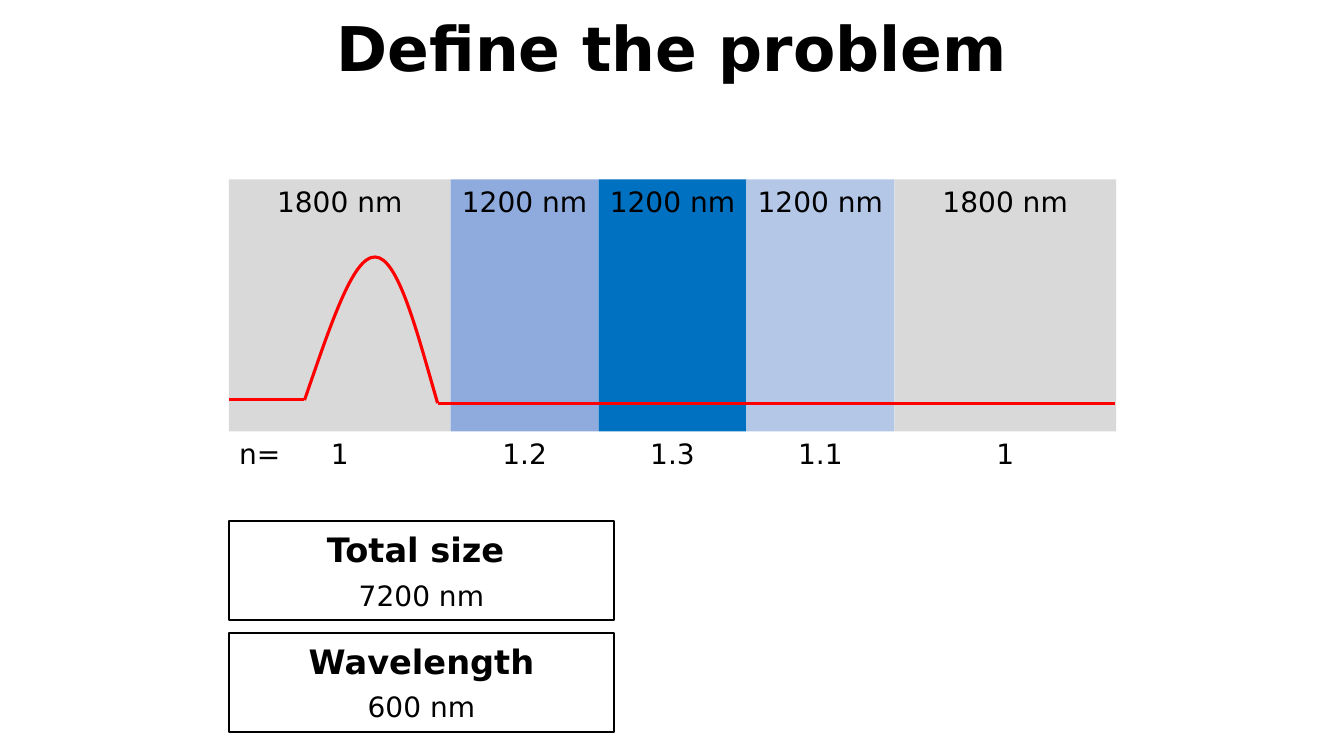
from pptx import Presentation
from pptx import util as u
from pptx.dml.color import RGBColor
from pptx.enum import shapes, text
from pptx.oxml.ns import qn
from lxml import etree

# Content
TITLE = "Define the problem"
LAYERS = [  # thickness in nm, refractive index, colour
    (1800, "1", "air"),
    (1200, "1.2", "medium"),
    (1200, "1.3", "dense"),
    (1200, "1.1", "light"),
    (1800, "1", "air"),
]
INDEX_NAME = "n="
FACTS = [("Total size ", "7200 nm"), ("Wavelength", "600 nm")]

# Style
COLORS = {"ink": "000000", "air": "D9D9D9", "medium": "8FAADC",
          "dense": "0070C0", "light": "B4C7E7", "wave": "FF0000"}
FONT = "DejaVu Sans"

# Layout in px, 100 px to the inch
PX = u.Inches(1) // 100
SLIDE_W, SLIDE_H = 1333, 750
STACK_X, STACK_Y, STACK_W, STACK_H = 227, 178, 880, 250
LABEL_H, INDEX_H = 35, 44
FACT_Y, FACT_W, FACT_H, FACT_STEP = 517, 382, 98, 111
PULSE = [(302, 397), (328, 322), (350, 254), (372, 255),
         (395, 255), (414, 331), (434, 400)]  # Bezier nodes and handles
BASELINES = [((STACK_X, 396), (302, 396)),
             ((434, 400), (STACK_X + STACK_W - 1, 400))]


def px(*lengths):
    return [round(length * PX) for length in lengths]


def color(name):
    return RGBColor.from_string(COLORS[name])


def add_run(paragraph, words, size, bold=False):
    paragraph.alignment = text.PP_ALIGN.CENTER
    run = paragraph.add_run()
    run.text = words
    run.font.name, run.font.size, run.font.bold = FONT, u.Pt(size), bold
    run.font.color.rgb = color("ink")


def add_label(words, x, y, w, h, size=20, bold=False):
    frame = slide.shapes.add_textbox(*px(x, y, w, h)).text_frame
    frame.word_wrap = True
    frame.margin_left = frame.margin_right = 0
    add_run(frame.paragraphs[0], words, size, bold)
    return frame.paragraphs[0]


def add_box(x, y, w, h):
    box = slide.shapes.add_shape(shapes.MSO_SHAPE.RECTANGLE, *px(x, y, w, h))
    box.shadow.inherit = False
    return box


def draw_wave(line):
    line.color.rgb = color("wave")
    line.width = u.Pt(2.25)


prs = Presentation()
prs.slide_width, prs.slide_height = px(SLIDE_W, SLIDE_H)
slide = prs.slides.add_slide(prs.slide_layouts[6])

# Title
heading = add_label(TITLE, 0, 0, SLIDE_W, 82, 44, True)
heading.line_spacing = 1.07
heading.space_after = u.Pt(8)

# Facts
for i, (fact, value) in enumerate(FACTS):
    box = add_box(STACK_X, FACT_Y + i * FACT_STEP, FACT_W, FACT_H)
    box.fill.background()
    box.line.color.rgb = color("ink")
    box.line.width = u.Pt(1.5)
    frame = box.text_frame
    add_run(frame.paragraphs[0], fact, 24, True)
    add_run(frame.add_paragraph(), value, 20)
    for paragraph in frame.paragraphs:
        paragraph.space_after = u.Pt(6)

# Layers, as wide as they are thick
scale = STACK_W / sum(thickness for thickness, _, _ in LAYERS)
x = STACK_X
for thickness, index, shade in LAYERS:
    w = thickness * scale
    layer = add_box(x, STACK_Y, w, STACK_H)
    layer.fill.solid()
    layer.fill.fore_color.rgb = color(shade)
    layer.line.fill.background()
    add_label(f"{thickness} nm", x, STACK_Y, w, LABEL_H)
    add_label(index, x, STACK_Y + STACK_H, w, INDEX_H)
    x += w
add_label(INDEX_NAME, STACK_X, STACK_Y + STACK_H, 61, INDEX_H)

# Pulse: every three points after the start form one Bezier segment
builder = slide.shapes.build_freeform(*px(*PULSE[0]))
builder.add_line_segments([px(*point) for point in PULSE[1:]], close=False)
pulse = builder.convert_to_shape()
pulse.shadow.inherit = False
pulse.fill.background()
draw_wave(pulse.line)
outline = next(pulse._element.iter(qn("a:path")))
steps = outline.findall(qn("a:lnTo"))
for start in range(0, len(steps), 3):
    curve = etree.SubElement(outline, qn("a:cubicBezTo"))
    for step in steps[start:start + 3]:
        curve.append(step[0])
        outline.remove(step)

# Flat parts of the wave
for begin, end in BASELINES:
    baseline = slide.shapes.add_connector(
        shapes.MSO_CONNECTOR.STRAIGHT, *px(*begin, *end))
    draw_wave(baseline.line)
    etree.SubElement(baseline._element.spPr, qn("a:effectLst"))

prs.save("out.pptx")
